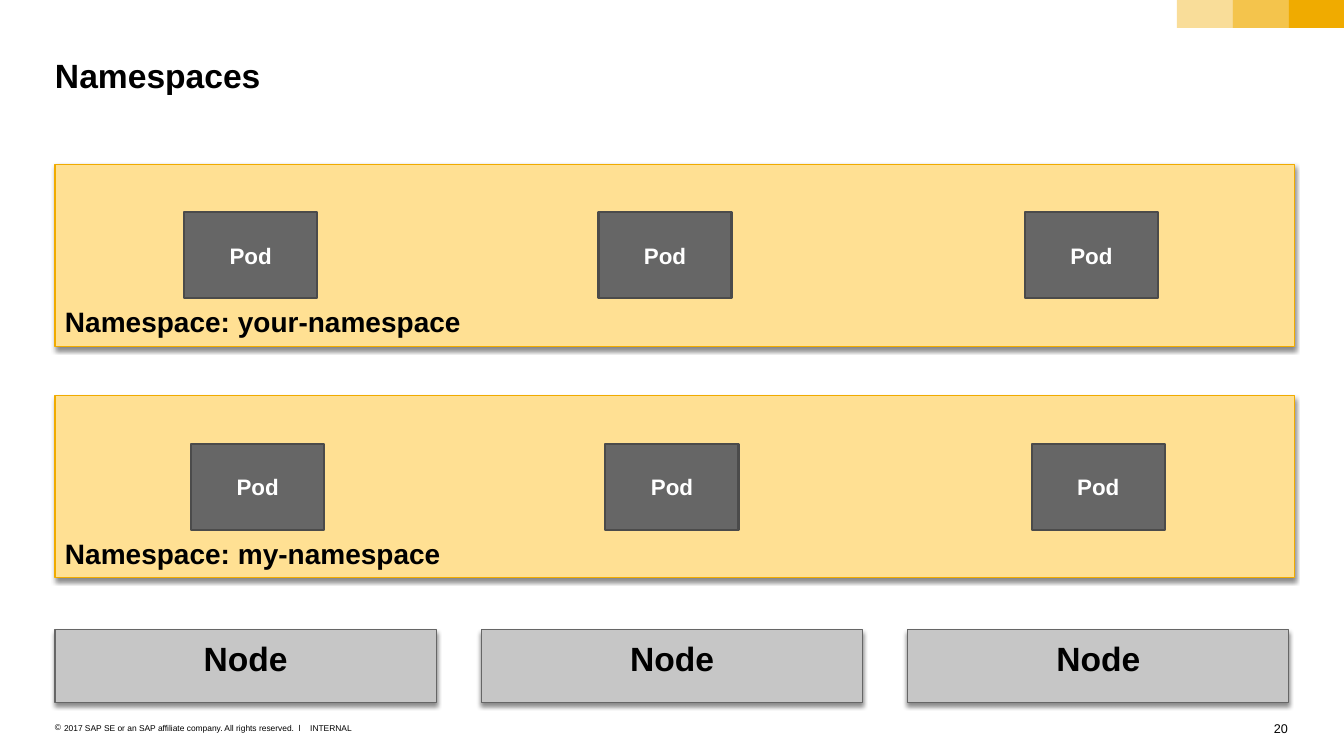
from pptx import Presentation
from pptx.dml.color import RGBColor
from pptx.enum.shapes import MSO_SHAPE as SHAPE
from pptx.enum.text import MSO_ANCHOR as ANCHOR, PP_ALIGN as ALIGN
from pptx.oxml.ns import qn
from pptx.util import Pt
from lxml.etree import SubElement

PX = 9080
COLORS = {
    "black": "000000", "white": "FFFFFF", "gold": "F0AB00", "sand": "FFE093",
    "silver": "C6C6C6", "gray": "666666", "dark": "4B4B4B",
}


def rgb(name):
    return RGBColor.from_string(COLORS[name])


def write(tf, text, size=16, color="black", bold=False, align=ALIGN.LEFT,
          anchor=ANCHOR.TOP, margins=(0, 0), wrap=True, bullet=None, indent=0):
    tf.word_wrap = wrap
    tf.vertical_anchor = anchor
    tf.margin_left = tf.margin_right = margins[0] * PX
    tf.margin_top = tf.margin_bottom = margins[1] * PX
    p = tf.paragraphs[0]
    p.alignment = align
    if bullet:
        pPr = p._p.get_or_add_pPr()
        pPr.set("marL", str(indent * PX))
        pPr.set("indent", str(-indent * PX))
        SubElement(pPr, qn("a:buFont"), typeface="Arial")
        SubElement(pPr, qn("a:buChar"), char=bullet)
    r = p.add_run()
    r.text = text
    r.font.name = "Arial"
    r.font.size = Pt(size)
    r.font.bold = bold
    r.font.color.rgb = rgb(color)


class Deck:
    def __init__(self, width, height):
        self.prs = Presentation()
        self.prs.slide_width = width * PX
        self.prs.slide_height = height * PX
        self.s = self.prs.slides.add_slide(self.prs.slide_layouts[6])

    def text(self, x, y, w, h, text, **fmt):
        box = self.s.shapes.add_textbox(x * PX, y * PX, w * PX, h * PX)
        write(box.text_frame, text, **fmt)

    def rect(self, x, y, w, h, fill, line=None, weight=0.79, alpha=100, shadow=False):
        sp = self.s.shapes.add_shape(SHAPE.RECTANGLE, x * PX, y * PX, w * PX, h * PX)
        sp.shadow.inherit = False
        sp.fill.solid()
        sp.fill.fore_color.rgb = rgb(fill)
        if alpha < 100:
            clr = sp._element.spPr.find(".//" + qn("a:srgbClr"))
            SubElement(clr, qn("a:alpha"), val=str(alpha * 1000))
        if line:
            sp.line.color.rgb = rgb(line)
            sp.line.width = Pt(weight)
        else:
            sp.line.fill.background()
        if shadow:
            effects = sp._element.spPr.find(qn("a:effectLst"))
            outer = SubElement(effects, qn("a:outerShdw"), blurRad=str(Pt(3)),
                               dist=str(Pt(2.4)), dir="5400000", rotWithShape="0")
            clr = SubElement(outer, qn("a:srgbClr"), val=COLORS["black"])
            SubElement(clr, qn("a:alpha"), val="45000")
        return sp

    def block(self, x, y, w, h, text, fill, line, weight=0.79, shadow=True, **fmt):
        sp = self.rect(x, y, w, h, fill, line, weight, shadow=shadow)
        write(sp.text_frame, text, bold=True, margins=(10, 8), **fmt)

    def node(self, x):
        self.block(x, 629, 381, 73, "Node", "silver", "gray", size=24, align=ALIGN.CENTER)

    def pod(self, x, y):
        self.block(x, y, 133, 86, "Pod", "gray", "dark", weight=1.5, shadow=False,
                   color="white", align=ALIGN.CENTER, anchor=ANCHOR.MIDDLE)

    def namespace(self, y, name, shift):
        self.block(55, y, 1239, 182, f"Namespace: {name}", "sand", "gold",
                   size=20, anchor=ANCHOR.BOTTOM)
        for x in (184, 598, 1024):
            self.pod(x + shift, y + 48)


def main():
    deck = Deck(1343, 755)
    for i, alpha in enumerate((40, 70, 100)):
        deck.rect(1176 + 56 * i, 0, 56, 28, "gold", alpha=alpha)
    deck.text(55, 55, 1232, 40, "Namespaces", size=24, bold=True)
    deck.namespace(164, "your-namespace", 0)
    deck.namespace(395, "my-namespace", 7)
    for i in range(3):
        deck.node(55 + 426 * i)
    deck.text(55, 722, 250, 10,
              "2017 SAP SE or an SAP affiliate company. All rights reserved.  ǀ",
              size=6, bullet="©", indent=9)
    deck.text(310, 722, 42, 10, "INTERNAL", size=6, wrap=False)
    deck.text(1272, 720, 15, 15, "20", size=9, align=ALIGN.RIGHT, wrap=False)
    deck.prs.save("out.pptx")


if __name__ == "__main__":
    main()
